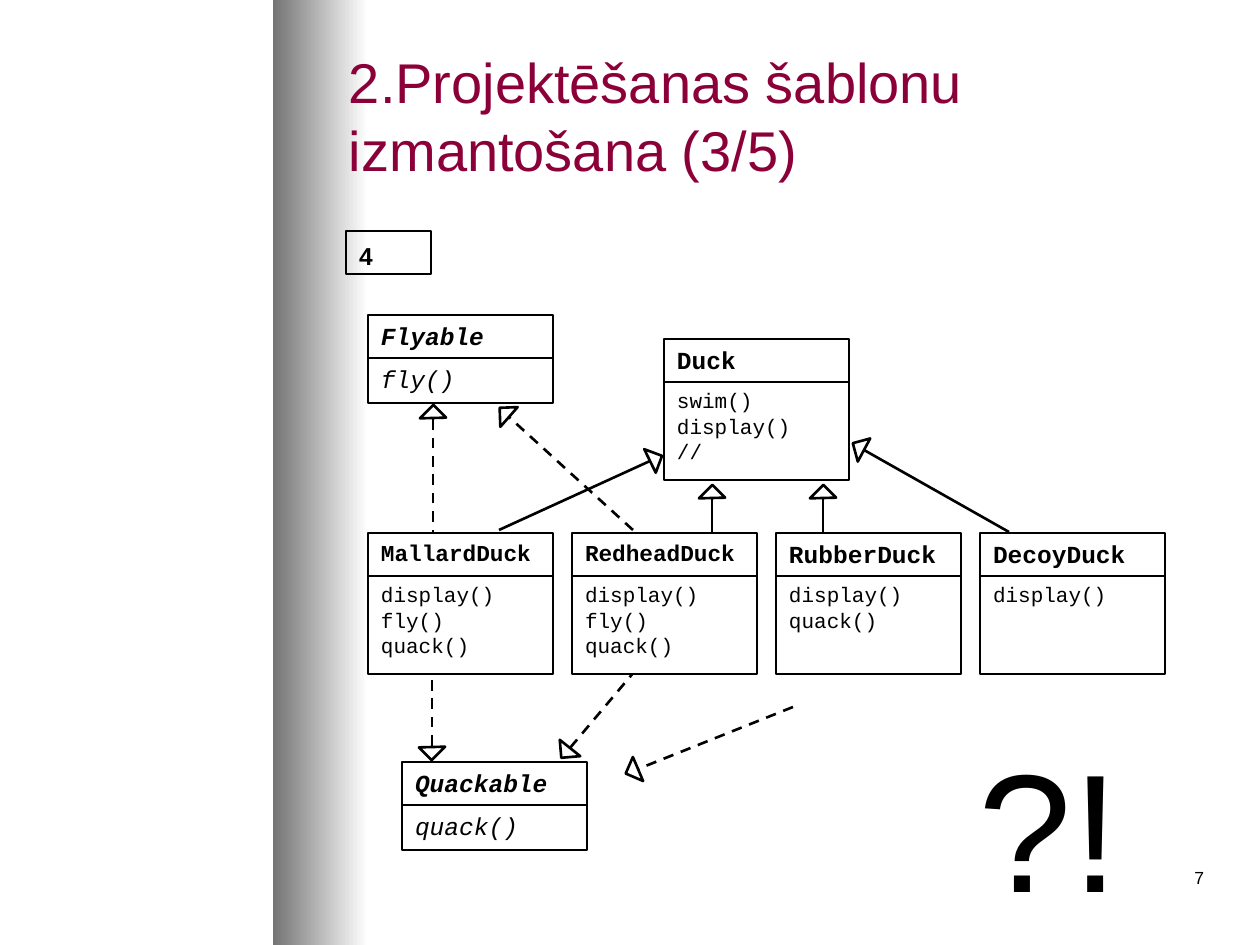
from dataclasses import dataclass

from lxml.etree import SubElement
from pptx import Presentation
from pptx.dml.color import RGBColor
from pptx.enum.dml import MSO_LINE
from pptx.enum.shapes import MSO_CONNECTOR as Connector, MSO_SHAPE as Preset
from pptx.enum.text import MSO_ANCHOR as Anchor, PP_ALIGN as Align
from pptx.oxml.ns import qn
from pptx.util import Pt

PX = 914400 / 126  # one pixel in EMU
COLOURS = {"ink": "000000", "paper": "FFFFFF", "title": "8C0039", "shade": "747474"}

CLASS_WIDTH, HEADER_HEIGHT = 185, 43
SUBCLASS_LEFT, SUBCLASS_TOP, SUBCLASS_STEP = 368, 533, 204
HEAD_WIDTH, HEAD_HEIGHT = 19, 18


@dataclass
class UmlClass:
    name: str
    methods: list[str]
    left: int
    top: int
    interface: bool = False


@dataclass
class Arrow:
    start: tuple[int, int]
    tip: tuple[int, int]
    turn: float
    dashed: bool = False


SUBCLASSES = {
    "MallardDuck": ["display()", "fly()", "quack()"],
    "RedheadDuck": ["display()", "fly()", "quack()"],
    "RubberDuck": ["display()", "quack()"],
    "DecoyDuck": ["display()"],
}
CLASSES = [
    UmlClass("Duck", ["swim()", "display()", "//"], 664, 339),
    UmlClass("Flyable", ["fly()"], 368, 315, True),
    UmlClass("Quackable", ["quack()"], 402, 762, True),
] + [
    UmlClass(name, methods, SUBCLASS_LEFT + SUBCLASS_STEP * column, SUBCLASS_TOP)
    for column, (name, methods) in enumerate(SUBCLASSES.items())
]
ARROWS = [
    # to Quackable
    Arrow((432, 588), (432, 747), 315, True),
    Arrow((672, 627), (570, 748), 355.1, True),
    Arrow((793, 707), (638, 769), 23.4, True),
    # to Flyable
    Arrow((433, 577), (433, 418), 135, True),
    Arrow((633, 530), (509, 417), 87.9, True),
    # to Duck
    Arrow((712, 656), (712, 498), 135),
    Arrow((823, 656), (823, 498), 135),
    Arrow((1009, 532), (864, 450), 74.8),
    Arrow((499, 530), (650, 461), 200.5),
]


def px(value: float) -> int:
    return round(value * PX)


def colour(name: str) -> RGBColor:
    return RGBColor.from_string(COLOURS[name])


def add_preset(page, preset, left: int, top: int, width: int, height: int,
               fill: str | None = "paper", line: float | None = 1.5):
    shape = page.shapes.add_shape(preset, px(left), px(top), px(width), px(height))
    shape.shadow.inherit = False
    if fill:
        shape.fill.solid()
        shape.fill.fore_color.rgb = colour(fill)
    else:
        shape.fill.background()
    if line:
        shape.line.color.rgb = colour("ink")
        shape.line.width = Pt(line)
    else:
        shape.line.fill.background()
    return shape


def write(box, lines: list[str], size: int, font: str = "Arial", ink: str = "ink",
          align=Align.LEFT, anchor=Anchor.TOP, inset: int = 6, **styles) -> None:
    frame = box.text_frame
    settings = {"word_wrap": True, "vertical_anchor": anchor,
                "margin_left": px(13), "margin_right": px(13),
                "margin_top": px(inset), "margin_bottom": px(6)}
    for name, value in settings.items():
        setattr(frame, name, value)
    font_values = {"name": font, "size": Pt(size), **styles}
    for index, line in enumerate(lines):
        para = frame.add_paragraph() if index else frame.paragraphs[0]
        para.alignment = align
        span = para.add_run()
        span.text = line
        span.font.color.rgb = colour(ink)
        for name, value in font_values.items():
            setattr(span.font, name, value)


def add_text(page, left: int, top: int, width: int, height: int,
             text: str, size: int, **values) -> None:
    box = page.shapes.add_textbox(px(left), px(top), px(width), px(height))
    write(box, [text], size, **values)


def add_side_band(page) -> None:
    band = add_preset(page, Preset.RECTANGLE, 273, 0, 95, 945, line=None)
    band.fill.gradient()
    band.fill.gradient_angle = 0
    for stop, name, position in zip(band.fill.gradient_stops, ("shade", "paper"), (0, 1)):
        stop.color.rgb = colour(name)
        stop.position = position


def add_arrow(page, arrow: Arrow) -> None:
    ends = [px(value) for value in (*arrow.start, *arrow.tip)]
    line = page.shapes.add_connector(Connector.STRAIGHT, *ends)
    line.line.color.rgb = colour("ink")
    line.line.width = Pt(1.5)
    if arrow.dashed:
        line.line.dash_style = MSO_LINE.DASH
    SubElement(line._element.spPr, qn("a:effectLst"))
    # The hollow head is centred on the line's end
    x, y = arrow.tip
    head = add_preset(page, Preset.RIGHT_TRIANGLE, x - HEAD_WIDTH / 2,
                      y - HEAD_HEIGHT / 2, HEAD_WIDTH, HEAD_HEIGHT)
    head.rotation = arrow.turn


def add_class(page, uml: UmlClass) -> None:
    header = add_preset(page, Preset.RECTANGLE, uml.left, uml.top,
                        CLASS_WIDTH, HEADER_HEIGHT)
    write(header, [uml.name], 13 if len(uml.name) > 10 else 14, "Courier New",
          bold=True, italic=uml.interface)
    body = add_preset(page, Preset.RECTANGLE, uml.left, uml.top + HEADER_HEIGHT,
                      CLASS_WIDTH, 45 if uml.interface else 98)
    write(body, uml.methods, 14 if uml.interface else 12, "Courier New",
          italic=uml.interface)


def main() -> None:
    deck = Presentation()
    deck.slide_width, deck.slide_height = px(1260), px(945)
    page = deck.slides.add_slide(deck.slide_layouts[6])

    # Side band, title and step number
    add_side_band(page)
    add_text(page, 336, 31, 882, 168, "2.Projektēšanas šablonu izmantošana (3/5)", 32,
             ink="title", anchor=Anchor.MIDDLE)
    step = add_preset(page, Preset.RECTANGLE, 346, 231, 85, 43, fill=None, line=0.75)
    write(step, ["4"], 14, inset=10, bold=True)

    # Class diagram
    for arrow in ARROWS:
        add_arrow(page, arrow)
    for uml in CLASSES:
        add_class(page, uml)

    # Remark and page number
    add_text(page, 966, 703, 210, 214, "?!", 96, inset=22)
    add_text(page, 955, 861, 262, 63, "7", 10, align=Align.RIGHT)

    deck.save("out.pptx")


if __name__ == "__main__":
    main()
